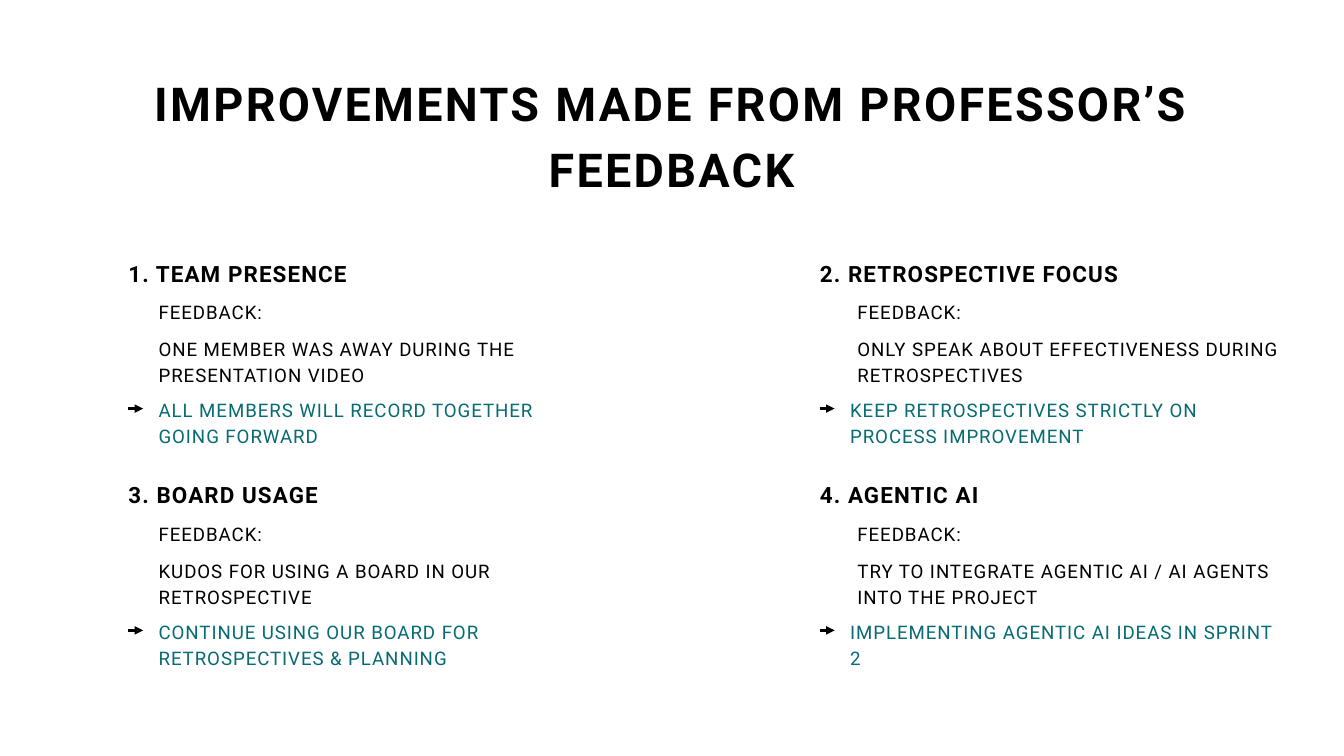
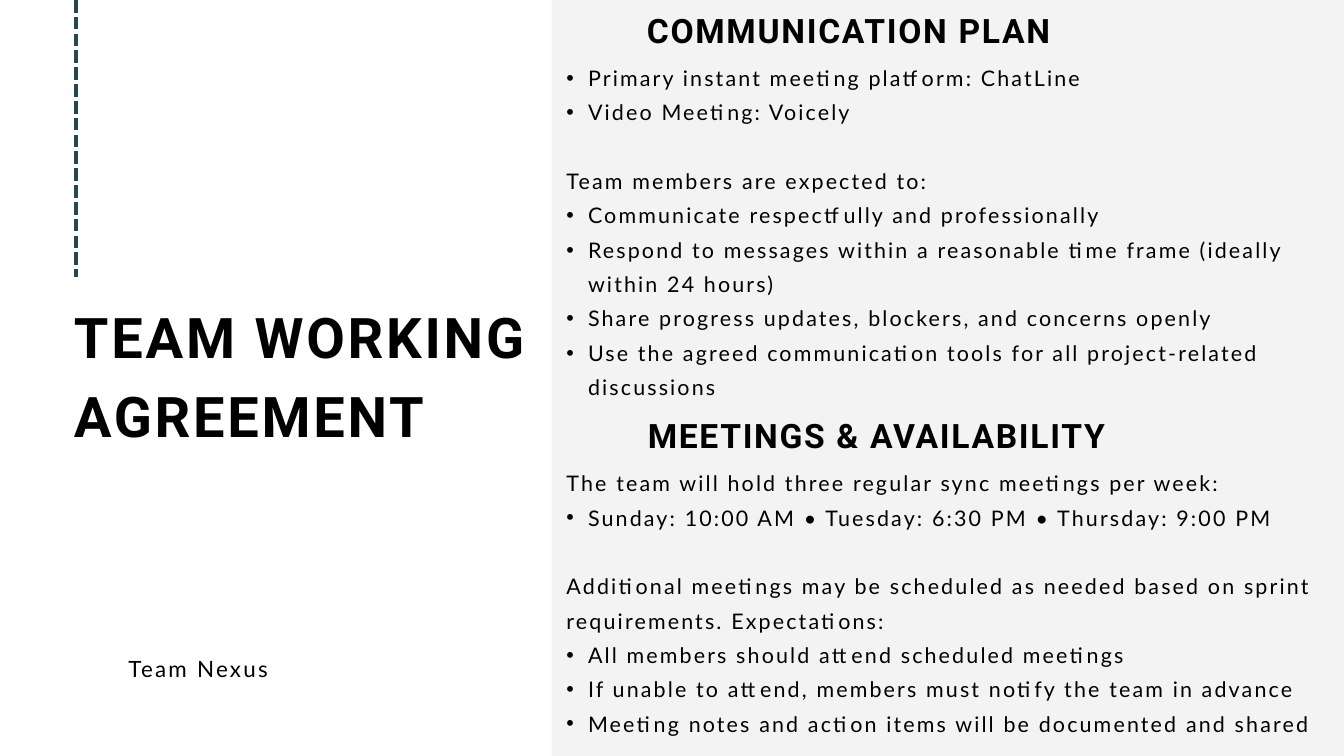
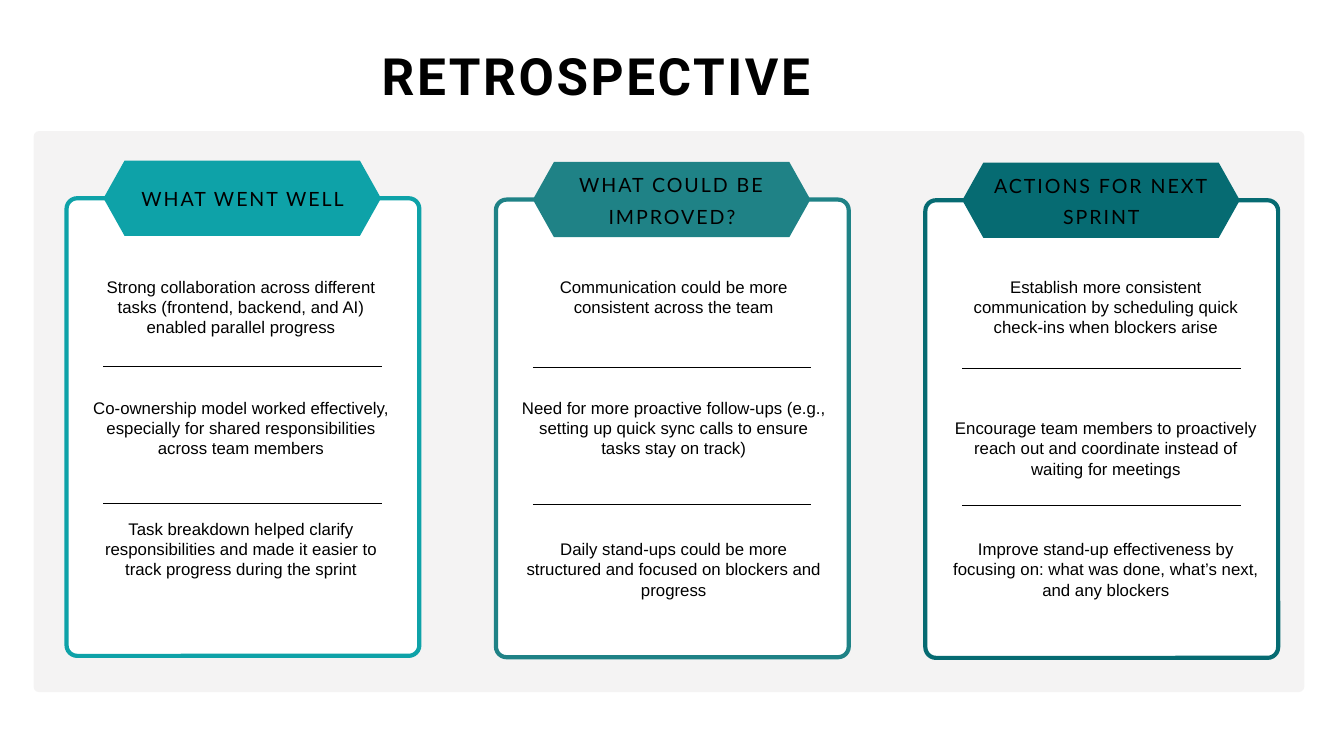
from collections import namedtuple

from lxml.etree import SubElement
from pptx import Presentation
from pptx.dml.color import RGBColor
from pptx.enum.dml import MSO_LINE
from pptx.enum.shapes import MSO_CONNECTOR, MSO_SHAPE
from pptx.enum.text import MSO_ANCHOR, MSO_AUTO_SIZE, PP_ALIGN
from pptx.oxml.ns import qn
from pptx.util import Emu, Pt

# Shared look: 100 px to the inch
PX = 9144
PAGE_WIDTH, PAGE_HEIGHT = 2000, 1125
BULLET = "• "
BULLET_INDENT = 32
LAYOUT_TITLE_ONLY, LAYOUT_TWO_CONTENT = 5, 3

COLORS = {
    "ink": "000000",
    "white": "FFFFFF",
    "panel": "F2F1F1",
    "navy": "264653",
    "aqua": "0EA2A8",
    "teal": "1F8286",
    "deep": "066B72",
}

# Sizes, letter spacing and line height in points
Style = namedtuple("Style", "font size bold spacing leading color", defaults=["ink"])
STYLES = {
    "feedback title": Style("Roboto", 50, True, 2.5, 70),
    "agreement title": Style("Roboto", 60, True, 3, 84),
    "retrospective title": Style("Roboto", 55, True, 2.8, 77),
    "item heading": Style("Roboto", 24, True, 1.2, 33.6),
    "item text": Style("Roboto", 20, False, 1, 28),
    "item action": Style("Roboto", 20, False, 1, 28, "deep"),
    "section heading": Style("Roboto", 36, True, 1.8, 50.4),
    "section list": Style("Lato", 23, False, 2.3, 36.8),
    "team name": Style("Lato", 24, False, 2.4, 33.6),
    "card heading": Style("Lato", 21, False, 2.1, 33.6),
    "card text": Style("Arial", 18, False, 0, 21.6),
}


def px(*lengths):
    return [Emu(length * PX) for length in lengths]


def rgb(name):
    return RGBColor.from_string(COLORS[name])


def set_bullet(para, shown):
    properties = para._p.get_or_add_pPr()
    indent = BULLET_INDENT * PX if shown else 0
    properties.set("marL", str(indent))
    properties.set("indent", str(-indent))
    if shown:
        SubElement(properties, qn("a:buChar")).set("char", BULLET.strip())
    else:
        SubElement(properties, qn("a:buNone"))


def write_text(shape, lines, style_name, align=PP_ALIGN.LEFT, gaps=None, anchor=MSO_ANCHOR.TOP):
    """Fill a box; gaps maps a paragraph's index to the lines of space above it."""
    style = STYLES[style_name]
    frame = shape.text_frame
    frame.text = "\n".join(lines)
    frame.word_wrap = True
    frame.auto_size = MSO_AUTO_SIZE.SHAPE_TO_FIT_TEXT
    frame.vertical_anchor = anchor
    frame.margin_left = frame.margin_top = frame.margin_right = frame.margin_bottom = 0
    for index, para in enumerate(frame.paragraphs):
        bulleted = para.text.startswith(BULLET)
        para.text = para.text.removeprefix(BULLET)
        set_bullet(para, bulleted)
        para.alignment = align
        para.line_spacing = Pt(style.leading)
        para.space_before = Pt((gaps or {}).get(index, 0) * style.leading)
        for span in para.runs:
            span.font.name = style.font
            span.font.size = Pt(style.size)
            span.font.bold = style.bold
            span.font.color.rgb = rgb(style.color)
            span._r.get_or_add_rPr().set("spc", str(round(style.spacing * 100)))


def add_text(page, box, text, style_name, **options):
    write_text(page.shapes.add_textbox(*px(*box)), [text], style_name, **options)


def fill_placeholder(holder, box, lines, style_name, **options):
    holder.left, holder.top, holder.width, holder.height = px(*box)
    write_text(holder, lines, style_name, **options)


def add_line(page, start, end, width, color="ink", dash=None, arrow=False):
    line = page.shapes.add_connector(MSO_CONNECTOR.STRAIGHT, *px(*start, *end))
    line.line.width = Pt(width)
    line.line.color.rgb = rgb(color)
    if dash:
        line.line.dash_style = dash
    if arrow:
        SubElement(line.line._get_or_add_ln(), qn("a:tailEnd")).set("type", "triangle")
    SubElement(line._element.spPr, qn("a:effectLst"))


def add_block(page, kind, box, fill, adjust=None, outline=None, opacity=None):
    shape = page.shapes.add_shape(kind, *px(*box))
    shape.shadow.inherit = False
    shape.fill.solid()
    shape.fill.fore_color.rgb = rgb(fill)
    if adjust is not None:
        shape.adjustments[0] = adjust
    if outline:
        shape.line.color.rgb = rgb(outline)
        shape.line.width = Pt(4.5)
    else:
        shape.line.fill.background()
    if opacity:
        color = shape._element.spPr.find(".//" + qn("a:srgbClr"))
        SubElement(color, qn("a:alpha")).set("val", str(opacity * 1000))


# Feedback slide: a grid of two by two items
FEEDBACK = [
    ("1. TEAM PRESENCE", "ONE MEMBER WAS AWAY DURING THE PRESENTATION VIDEO",
     "ALL MEMBERS WILL RECORD TOGETHER GOING FORWARD"),
    ("2. RETROSPECTIVE FOCUS", "ONLY SPEAK ABOUT EFFECTIVENESS DURING RETROSPECTIVES",
     "KEEP RETROSPECTIVES STRICTLY ON PROCESS IMPROVEMENT"),
    ("3. BOARD USAGE", "KUDOS FOR USING A BOARD IN OUR RETROSPECTIVE",
     "CONTINUE USING OUR BOARD FOR RETROSPECTIVES & PLANNING"),
    ("4. AGENTIC AI", "TRY TO INTEGRATE AGENTIC AI / AI AGENTS INTO THE PROJECT",
     "IMPLEMENTING AGENTIC AI IDEAS IN SPRINT 2"),
]


def add_feedback_item(page, left, top, indent, heading, feedback, action):
    add_text(page, (left, top, 668, 46), heading, "item heading")
    add_text(page, (left + indent, top + 62, 668, 39), "FEEDBACK:", "item text")
    add_text(page, (left + indent, top + 117, 668, 78), feedback, "item text")
    add_text(page, (left + 45, top + 208, 635, 78), action, "item action")
    arrow_y = top + 228
    add_line(page, (left, arrow_y), (left + 22, arrow_y), 3, arrow=True)


def build_feedback(deck):
    page = deck.slides.add_slide(deck.slide_layouts[LAYOUT_TITLE_ONLY])
    fill_placeholder(page.shapes.title, (112, 98, 1775, 194),
                     ["IMPROVEMENTS MADE FROM PROFESSOR’S FEEDBACK"],
                     "feedback title", align=PP_ALIGN.CENTER)
    for index, item in enumerate(FEEDBACK):
        row, column = divmod(index, 2)
        add_feedback_item(page, 191 + column * 1029, 380 + row * 330, 45 + column * 11, *item)


# Agreement slide: title at left, two lists on a panel at right
COMMUNICATION = [
    "• Primary instant meeting platform: ChatLine",
    "• Video Meeting: Voicely",
    "Team members are expected to:",
    "• Communicate respectfully and professionally",
    "• Respond to messages within a reasonable time frame (ideally within 24 hours)",
    "• Share progress updates, blockers, and concerns openly",
    "• Use the agreed communication tools for all project-related discussions",
]
MEETINGS = [
    "The team will hold three regular sync meetings per week:",
    "• Sunday: 10:00 AM • Tuesday: 6:30 PM • Thursday: 9:00 PM",
    "Additional meetings may be scheduled as needed based on sprint requirements. Expectations:",
    "• All members should attend scheduled meetings",
    "• If unable to attend, members must notify the team in advance",
    "• Meeting notes and action items will be documented and shared",
]


def add_section(page, holder, top, heading, heading_width, lines, list_box):
    add_text(page, (875, top, heading_width, 70), heading, "section heading",
             align=PP_ALIGN.CENTER)
    width, height = list_box
    fill_placeholder(holder, (843, top + 79, width, height), lines, "section list", gaps={2: 1})


def build_agreement(deck):
    page = deck.slides.add_slide(deck.slide_layouts[LAYOUT_TWO_CONTENT])
    add_line(page, (113, 0), (113, 412), 4.5, "navy", dash=MSO_LINE.SQUARE_DOT)
    add_block(page, MSO_SHAPE.RECTANGLE, (821, 0, PAGE_WIDTH - 821, PAGE_HEIGHT), "panel",
              opacity=80)
    # The panel goes behind the placeholders
    tree = page.shapes._spTree
    tree.insert(2, page.shapes[-1]._element)

    fill_placeholder(page.shapes.title, (110, 434, 682, 351), ["TEAM WORKING AGREEMENT"],
                     "agreement title")
    add_text(page, (191, 968, 684, 44), "Team Nexus", "team name")
    add_section(page, page.placeholders[1], 5, "COMMUNICATION PLAN", 776,
                COMMUNICATION, (1093, 508))
    add_section(page, page.placeholders[2], 608, "MEETINGS & AVAILABILITY", 859,
                MEETINGS, (1125, 406))


# Retrospective slide: three cards, each with its gaps counted in lines
Card = namedtuple("Card", "top color text_indent heading points gaps")
CARDS = [
    Card(295, "aqua", 32, "WHAT WENT WELL", [
        "Strong collaboration across different tasks (frontend, backend, and AI) "
        "enabled parallel progress",
        "Co-ownership model worked effectively, especially for shared responsibilities "
        "across team members",
        "Task breakdown helped clarify responsibilities and made it easier to track "
        "progress during the sprint",
    ], {1: 3, 2: 3}),
    Card(297, "teal", 37, "WHAT COULD BE IMPROVED?", [
        "Communication could be more consistent across the team",
        "Need for more proactive follow-ups (e.g., setting up quick sync calls to ensure "
        "tasks stay on track)",
        "Daily stand-ups could be more structured and focused on blockers and progress",
    ], {1: 4, 2: 4}),
    Card(298, "deep", 41, "ACTIONS FOR NEXT SPRINT", [
        "Establish more consistent communication by scheduling quick check-ins when "
        "blockers arise",
        "Encourage team members to proactively reach out and coordinate instead of "
        "waiting for meetings",
        "Improve stand-up effectiveness by focusing on: what was done, what’s next, "
        "and any blockers",
    ], {1: 4, 2: 3}),
]


def add_card(page, left, card):
    top = card.top
    add_block(page, MSO_SHAPE.ROUNDED_RECTANGLE, (left, top, 525, 681), "white",
              adjust=0.03, outline=card.color)
    add_block(page, MSO_SHAPE.HEXAGON, (left + 55, top - 56, 413, 112), card.color, adjust=0.28)
    for offset in (250, 454):
        add_line(page, (left + 55, top + offset), (left + 469, top + offset), 1.5)
    add_text(page, (left + 53, top - 49, 418, 89), card.heading, "card heading",
             align=PP_ALIGN.CENTER, anchor=MSO_ANCHOR.MIDDLE)
    body = page.shapes.add_textbox(*px(left + card.text_indent, 412, 455, 496))
    write_text(body, card.points, "card text", align=PP_ALIGN.CENTER, gaps=card.gaps)


def build_retrospective(deck):
    page = deck.slides.add_slide(deck.slide_layouts[LAYOUT_TITLE_ONLY])
    fill_placeholder(page.shapes.title, (568, 50, 832, 108), ["RETROSPECTIVE"],
                     "retrospective title")
    add_block(page, MSO_SHAPE.ROUNDED_RECTANGLE, (50, 195, 1891, 835), "panel",
              adjust=0.01, opacity=80)
    for index, card in enumerate(CARDS):
        add_card(page, 99 + index * 639, card)


def main():
    deck = Presentation()
    deck.slide_width, deck.slide_height = px(PAGE_WIDTH, PAGE_HEIGHT)
    build_feedback(deck)
    build_agreement(deck)
    build_retrospective(deck)
    deck.save("out.pptx")


if __name__ == "__main__":
    main()
